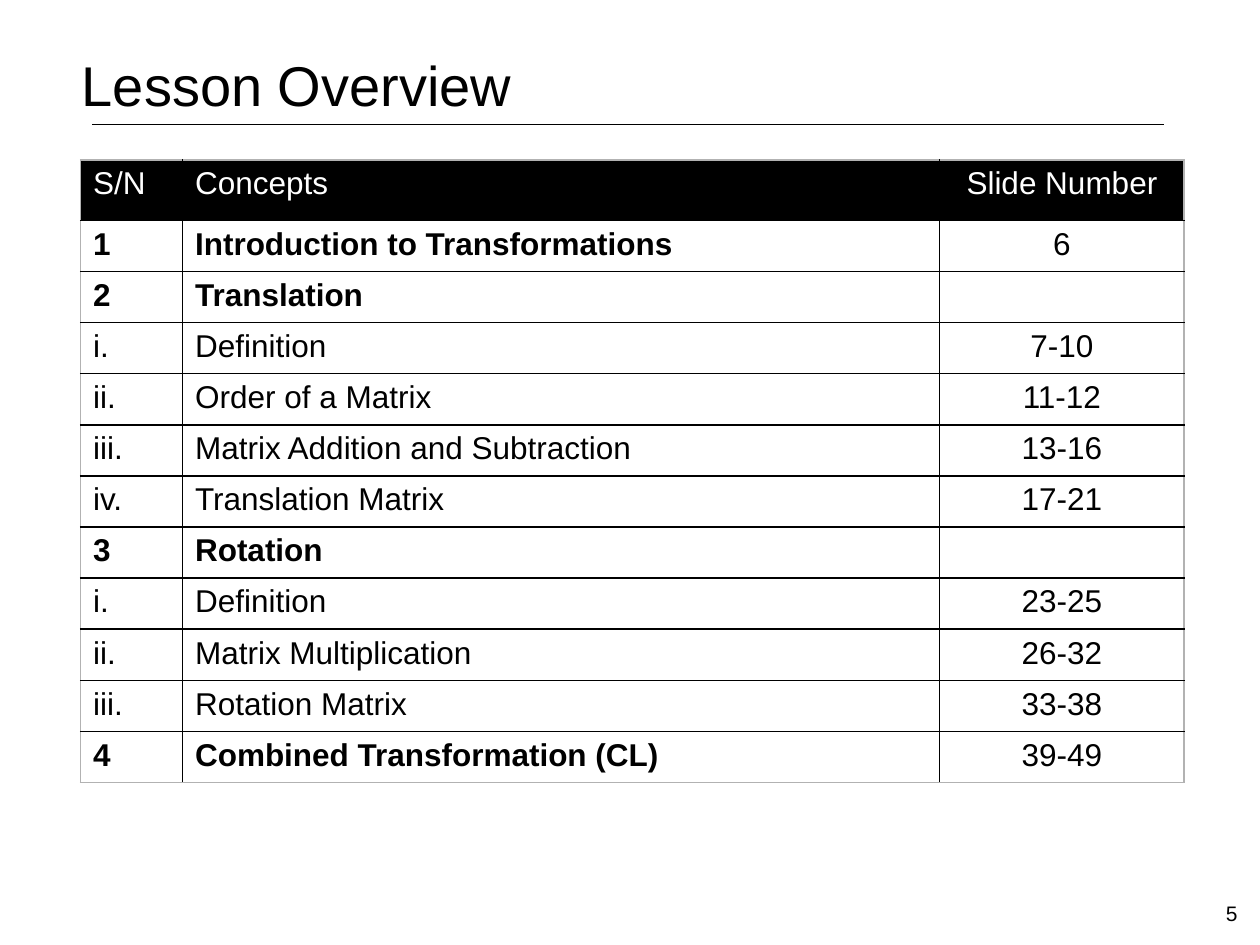
import pptx
import pptx.dml.color
import pptx.enum.shapes
import pptx.enum.text
import pptx.oxml
import pptx.oxml.ns
import pptx.util
from lxml import etree

Pt = pptx.util.Pt
RGBColor = pptx.dml.color.RGBColor
ALIGN = pptx.enum.text.PP_ALIGN
BLACK = RGBColor(0, 0, 0)
WHITE = RGBColor(255, 255, 255)
GREY = RGBColor(0xB2, 0xB2, 0xB2)
FONT = "Arial"

TITLE = "Lesson Overview"
PAGE_NUMBER = "5"
HEADER = ("S/N", "Concepts", "Slide Number")
LESSONS = [
    ("1", "Introduction to Transformations", "6"),
    ("2", "Translation", ""),
    ("i.", "Definition", "7-10"),
    ("ii.", "Order of a Matrix", "11-12"),
    ("iii.", "Matrix Addition and Subtraction", "13-16"),
    ("iv.", "Translation Matrix", "17-21"),
    ("3", "Rotation", ""),
    ("i.", "Definition", "23-25"),
    ("ii.", "Matrix Multiplication", "26-32"),
    ("iii.", "Rotation Matrix", "33-38"),
    ("4", "Combined Transformation (CL)", "39-49"),
]
COLUMN_WIDTHS = (58.3, 432.7, 139.7)
HEADER_HEIGHT, ROW_HEIGHT = 34.6, 29.2
TABLE_LEFT, TABLE_TOP = 46, 91.4


def write(frame, text, size, color=BLACK, bold=False, align=ALIGN.LEFT):
    para = frame.paragraphs[0]
    para.alignment = align
    if not text:
        para.font.size = Pt(size)
        return
    span = para.add_run()
    span.text = text
    span.font.name = FONT
    span.font.size = Pt(size)
    span.font.bold = bold
    span.font.color.rgb = color


def add_text(page, text, size, left, top, width, height, inset_left=7.2, inset_top=3.6):
    frame = page.shapes.add_textbox(Pt(left), Pt(top), Pt(width), Pt(height)).text_frame
    frame.word_wrap = True
    frame.margin_left, frame.margin_top = Pt(inset_left), Pt(inset_top)
    write(frame, text, size)


def set_borders(cell, sides):
    """Draw 1 pt cell borders; sides maps lnL, lnR, lnT, lnB in that order to colours."""
    properties = cell._tc.get_or_add_tcPr()
    for position, (side, color) in enumerate(sides.items()):
        line = pptx.oxml.parse_xml(
            f'<a:{side} {pptx.oxml.ns.nsdecls("a")} w="{Pt(1)}">'
            f'<a:solidFill><a:srgbClr val="{color}"/></a:solidFill></a:{side}>')
        properties.insert(position, line)


def add_lessons(page):
    rows = [HEADER] + LESSONS
    height = HEADER_HEIGHT + ROW_HEIGHT * len(LESSONS)
    table = page.shapes.add_table(
        len(rows), len(HEADER), Pt(TABLE_LEFT), Pt(TABLE_TOP),
        Pt(sum(COLUMN_WIDTHS)), Pt(height)).table
    for column, width in zip(table.columns, COLUMN_WIDTHS):
        column.width = Pt(width)
    last_row, last_column = len(rows) - 1, len(HEADER) - 1
    for r, values in enumerate(rows):
        is_header = r == 0
        is_section = values[0].isdigit()
        table.rows[r].height = Pt(HEADER_HEIGHT if is_header else ROW_HEIGHT)
        for c, text in enumerate(values):
            cell = table.cell(r, c)
            if is_header:
                cell.fill.solid()
                cell.fill.fore_color.rgb = BLACK
            else:
                cell.fill.background()
            write(cell.text_frame, text, 18, WHITE if is_header else BLACK,
                  is_section and c < last_column,
                  ALIGN.CENTER if c == last_column else ALIGN.LEFT)
            set_borders(cell, {
                "lnL": GREY if c == 0 else BLACK,
                "lnR": GREY if c == last_column else BLACK,
                "lnT": GREY if is_header else BLACK,
                "lnB": GREY if r == last_row else BLACK,
            })


def add_title_rule(page):
    rule = page.shapes.add_connector(
        pptx.enum.shapes.MSO_CONNECTOR.STRAIGHT, Pt(52.6), Pt(71.2), Pt(665.3), Pt(71.2))
    rule.line.color.rgb = BLACK
    rule.line.width = Pt(0.25)
    etree.SubElement(rule._element.spPr, pptx.oxml.ns.qn("a:effectLst"))


def main():
    deck = pptx.Presentation()
    deck.slide_width, deck.slide_height = Pt(720), Pt(540)
    page = deck.slides.add_slide(deck.slide_layouts[6])
    add_title_rule(page)
    add_text(page, TITLE, 32, 41, 21.6, 640, 90, inset_left=5.8, inset_top=7.2)
    add_lessons(page)
    add_text(page, PAGE_NUMBER, 12, 693.4, 511.2, 26.6, 28.8)
    deck.save("out.pptx")


if __name__ == "__main__":
    main()
